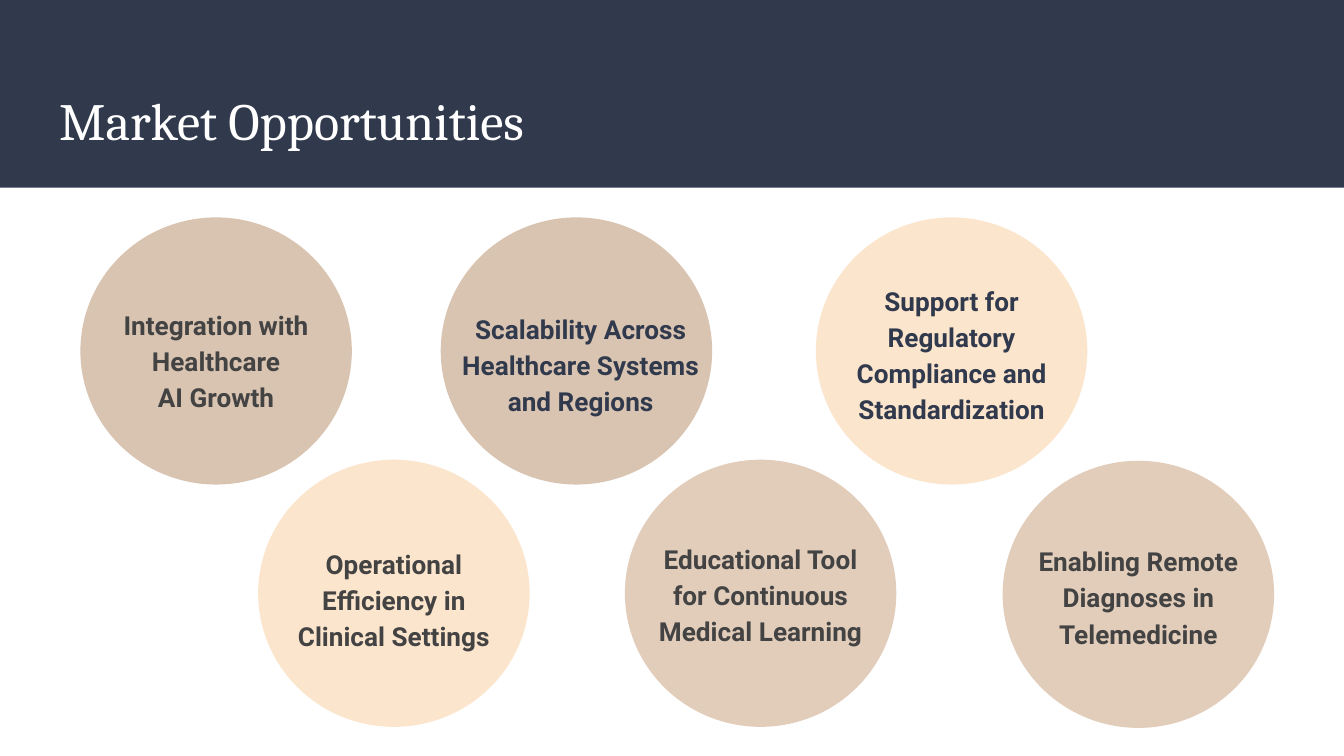
from pptx import Presentation
from pptx.dml.color import RGBColor
from pptx.enum.shapes import MSO_SHAPE
from pptx.enum.text import MSO_ANCHOR, PP_ALIGN
from pptx.util import Cm, Pt

RECT, OVAL = MSO_SHAPE.RECTANGLE, MSO_SHAPE.OVAL
TOP, MIDDLE = MSO_ANCHOR.TOP, MSO_ANCHOR.MIDDLE
LEFT, CENTER = PP_ALIGN.LEFT, PP_ALIGN.CENTER

NAVY, GREY, WHITE = "31394D", "434343", "FFFFFF"
TAN, PEACH, SAND = "D9C4B1", "FCE5CD", "E2CDBB"

# Content
TITLE = "Market Opportunities"
CIRCLE_W, CIRCLE_H = 5.13, 5.05
# circle left, top, fill; label top, width, height, shift from centre, colour, paragraphs
OPPORTUNITIES = [
    (1.52, 4.11, TAN, 5.51, 4.24, 2.62, 0, GREY,
     ["Integration with Healthcare", "AI Growth"]),
    (4.88, 8.69, PEACH, 10.03, 4.24, 2.82, 0, GREY,
     ["Operational Efficiency in Clinical Settings"]),
    (8.33, 4.11, TAN, 5.59, 5.28, 2.82, 0.08, NAVY,
     ["Scalability Across Healthcare Systems and Regions"]),
    (11.81, 8.69, SAND, 9.93, 4.37, 2.62, 0, GREY,
     ["Educational Tool for Continuous Medical Learning"]),
    (15.42, 4.11, PEACH, 5.05, 4.37, 3.18, 0, NAVY,
     ["Support for Regulatory Compliance and Standardization"]),
    (18.95, 8.71, SAND, 9.98, 4.78, 3.45, 0, GREY,
     ["Enabling Remote Diagnoses in Telemedicine"]),
]


def rgb(value):
    return RGBColor.from_string(value)


def add_shape(s, kind, x, y, w, h, fill):
    sp = s.shapes.add_shape(kind, Cm(x), Cm(y), Cm(w), Cm(h))
    sp.shadow.inherit = False
    sp.fill.solid()
    sp.fill.fore_color.rgb = rgb(fill)
    sp.line.fill.background()


def add_text(s, x, y, w, h, lines, font, size, color, bold=False,
             align=LEFT, spacing=1.0, anchor=TOP):
    tf = s.shapes.add_textbox(Cm(x), Cm(y), Cm(w), Cm(h)).text_frame
    tf.word_wrap = True
    tf.vertical_anchor = anchor
    tf.margin_left = tf.margin_right = tf.margin_top = tf.margin_bottom = Cm(0.25)
    for i, line in enumerate(lines):
        p = tf.add_paragraph() if i else tf.paragraphs[0]
        p.alignment = align
        p.line_spacing = spacing
        r = p.add_run()
        r.text = line
        r.font.name = font
        r.font.size = Pt(size)
        r.font.bold = bold
        r.font.color.rgb = rgb(color)


prs = Presentation()
prs.slide_width, prs.slide_height = Cm(25.4), Cm(14.29)
s = prs.slides.add_slide(prs.slide_layouts[6])

# Title band
add_shape(s, RECT, 0, 0, 25.4, 3.55, NAVY)
add_text(s, 0.87, 1.4, 23.67, 1.73, [TITLE], "Cambria", 28, WHITE, anchor=MIDDLE)

# Circles with their labels
for x, y, fill, top, w, h, shift, color, lines in OPPORTUNITIES:
    add_shape(s, OVAL, x, y, CIRCLE_W, CIRCLE_H, fill)
    add_text(s, x + (CIRCLE_W - w) / 2 + shift, top, w, h, lines, "Roboto", 14,
             color, bold=True, align=CENTER, spacing=1.15)

prs.save("out.pptx")
